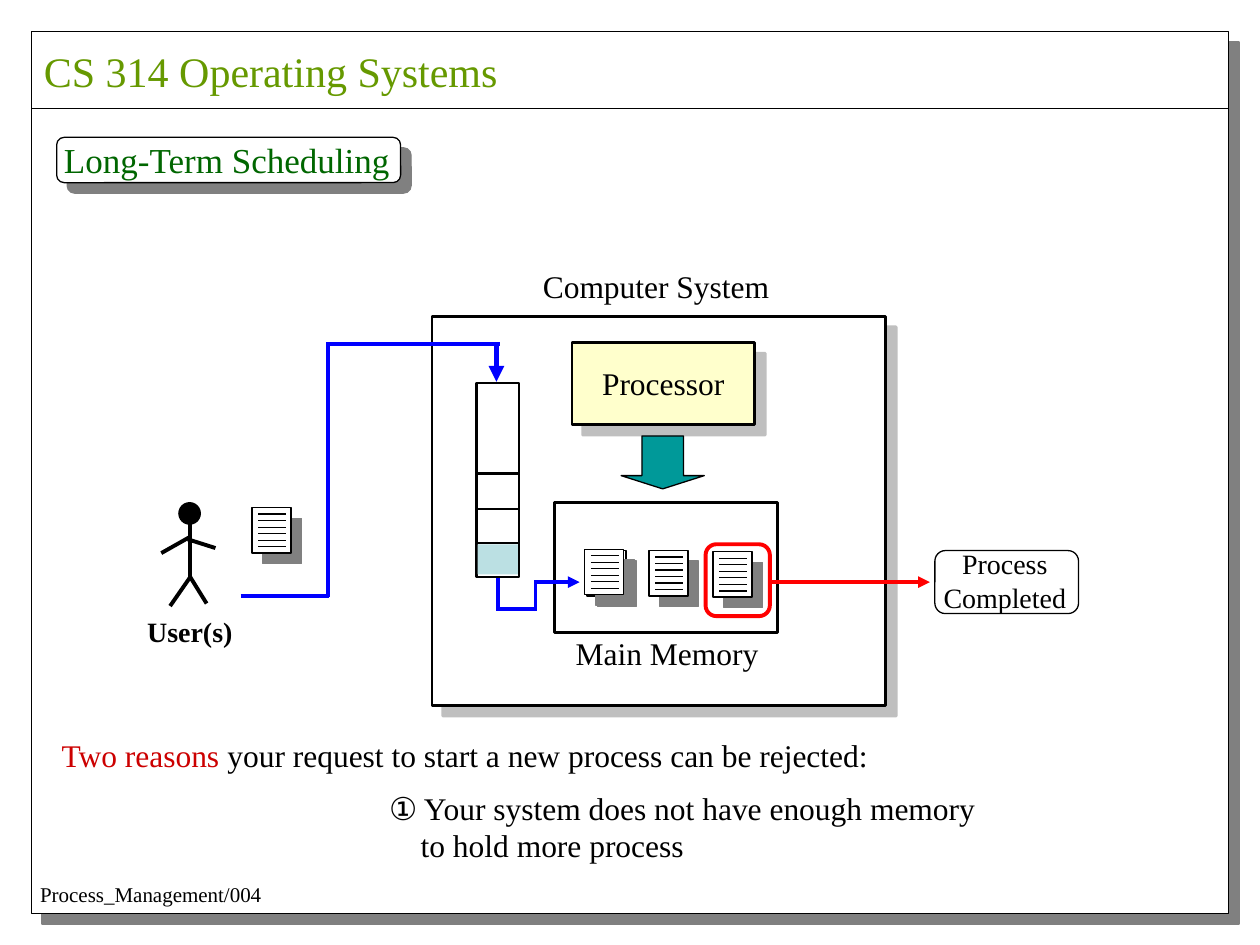
from lxml import etree
from pptx import Presentation
from pptx.dml.color import RGBColor
from pptx.enum.shapes import MSO_CONNECTOR, MSO_SHAPE
from pptx.enum.text import MSO_AUTO_SIZE, PP_ALIGN
from pptx.oxml.ns import qn
from pptx.util import Inches, Pt

RECT = MSO_SHAPE.RECTANGLE
ROUND = MSO_SHAPE.ROUNDED_RECTANGLE
OVAL = MSO_SHAPE.OVAL
DOWN_ARROW = MSO_SHAPE.DOWN_ARROW
STRAIGHT = MSO_CONNECTOR.STRAIGHT
GROW = MSO_AUTO_SIZE.SHAPE_TO_FIT_TEXT
LEFT, CENTER = PP_ALIGN.LEFT, PP_ALIGN.CENTER

SERIF = "Times New Roman"
BLACK, WHITE, GRAY = "000000", "FFFFFF", "808080"
BLUE, RED = "0000FF", "FF0000"


def color(value):
    return RGBColor.from_string(value)


def add_shadow(shape, opacity):
    effects = shape._element.spPr.find(qn("a:effectLst"))
    shadow = etree.SubElement(effects, qn("a:outerShdw"), dist=str(Pt(8.5)),
                              dir="2700000", algn="ctr", rotWithShape="0")
    tone = etree.SubElement(shadow, qn("a:srgbClr"), val=GRAY)
    etree.SubElement(tone, qn("a:alpha"), val=str(opacity * 1000))


def add_box(page, kind, left, top, width, height, fill=WHITE, line=BLACK,
            weight=0.75, shadow=0):
    box = page.shapes.add_shape(kind, Inches(left), Inches(top),
                                Inches(width), Inches(height))
    box.shadow.inherit = False
    if fill:
        box.fill.solid()
        box.fill.fore_color.rgb = color(fill)
    else:
        box.fill.background()
    if line:
        box.line.color.rgb = color(line)
        box.line.width = Pt(weight)
    else:
        box.line.fill.background()
    if shadow:
        add_shadow(box, shadow)
    return box


def add_line(page, start, end, line=BLACK, weight=0.75, arrow=False):
    connector = page.shapes.add_connector(
        STRAIGHT, *(Inches(value) for value in (*start, *end)))
    connector.line.color.rgb = color(line)
    connector.line.width = Pt(weight)
    properties = connector._element.spPr
    if arrow:
        etree.SubElement(properties.find(qn("a:ln")), qn("a:tailEnd"),
                         type="triangle")
    etree.SubElement(properties, qn("a:effectLst"))


def add_text(page, left, top, width, height, size, paragraphs,
             align=LEFT, bold=False):
    box = page.shapes.add_textbox(Inches(left), Inches(top),
                                  Inches(width), Inches(height))
    frame = box.text_frame
    frame.word_wrap = False
    frame.auto_size = GROW
    for index, spans in enumerate(paragraphs):
        para = frame.add_paragraph() if index else frame.paragraphs[0]
        para.alignment = align
        for text, tone, font in spans:
            span = para.add_run()
            span.text = text
            span.font.name = font
            span.font.size = Pt(size)
            span.font.bold = bold
            span.font.color.rgb = color(tone)
    return box


def add_label(page, left, top, width, height, size, text, tone=BLACK,
              bold=False):
    add_text(page, left, top, width, height, size, [[(text, tone, SERIF)]],
             bold=bold)


def add_sheet(page, left, top):
    add_box(page, RECT, left, top, 0.31, 0.36, shadow=100)


def add_document(page, left, top):
    add_sheet(page, left, top)
    for row in range(6):
        y = top + 0.05 + row * 0.26 / 5
        add_line(page, (left + 0.05, y), (left + 0.27, y))


def add_frame(page):
    add_box(page, RECT, 0.25, 0.25, 9.5, 7, shadow=100)
    add_line(page, (0.25, 0.86), (9.75, 0.86))
    add_label(page, 0.22, 6.95, 1.96, 0.3, 12, "Process_Management/004")
    add_label(page, 0.25, 0.31, 3.8, 0.5, 24, "CS 314 Operating Systems",
              "669900")
    add_box(page, ROUND, 0.45, 1.09, 2.73, 0.36, shadow=100)
    add_label(page, 0.41, 1.05, 2.8, 0.44, 20, "Long-Term Scheduling",
              "006600")


def add_computer(page):
    add_box(page, RECT, 3.43, 2.51, 3.6, 3.09, weight=1.5, shadow=50)
    add_label(page, 4.21, 2.07, 2, 0.4, 18, "Computer System")
    add_box(page, RECT, 4.54, 2.72, 1.45, 0.65, "FFFFCC", weight=1.5,
            shadow=50)
    add_label(page, 4.68, 2.84, 1.17, 0.4, 18, "Processor")
    arrow = add_box(page, DOWN_ARROW, 4.93, 3.46, 0.66, 0.42, "009999")
    arrow.adjustments[1] = 0.25
    add_box(page, RECT, 4.4, 3.99, 1.77, 1.03, weight=1.5)
    add_label(page, 4.47, 4.98, 1.65, 0.4, 18, "Main Memory")


def add_user(page):
    add_box(page, OVAL, 1.42, 3.99, 0.17, 0.17, BLACK)
    hip = (1.51, 4.58)
    limbs = [((1.51, 4.07), hip), (hip, (1.35, 4.81)), (hip, (1.64, 4.79)),
             ((1.51, 4.26), (1.28, 4.39)), ((1.49, 4.28), (1.71, 4.35))]
    for start, end in limbs:
        add_line(page, start, end, weight=2.25)
    add_label(page, 1.07, 4.83, 0.9, 0.37, 16, "User(s)", bold=True)


def add_queue(page):
    add_box(page, RECT, 3.78, 3.04, 0.34, 1.54, weight=1.5)
    for y in (3.76, 4.04, 4.31):
        add_line(page, (3.78, y), (4.12, y), weight=1.5)
    add_box(page, RECT, 3.79, 4.32, 0.32, 0.24, "BBE0E3", None)


def add_request_route(page):
    add_line(page, (1.91, 4.73), (2.61, 4.73), BLUE, 2.25)
    add_line(page, (2.6, 4.74), (2.6, 2.72), BLUE, 2.25)
    add_line(page, (2.59, 2.73), (3.97, 2.73), BLUE, 2.25)
    add_line(page, (3.94, 2.73), (3.94, 3.03), BLUE, 3, arrow=True)


def add_admission_route(page):
    add_line(page, (3.95, 4.59), (3.95, 4.84), BLUE, 2.25)
    add_line(page, (3.94, 4.83), (4.26, 4.83), BLUE, 2.25)
    add_line(page, (4.25, 4.85), (4.25, 4.6), BLUE, 2.25)
    add_line(page, (4.24, 4.62), (4.6, 4.62), BLUE, 2.25, arrow=True)


def add_completion(page):
    add_box(page, ROUND, 5.6, 4.32, 0.51, 0.57, None, RED, 2.25)
    add_line(page, (6.11, 4.62), (7.38, 4.62), RED, 2.25, arrow=True)
    add_box(page, ROUND, 7.42, 4.37, 1.14, 0.5)
    add_text(page, 7.39, 4.29, 1.17, 0.64, 16,
             [[("Process", BLACK, SERIF)], [("Completed", BLACK, SERIF)]],
             align=CENTER)


def add_reasons(page):
    add_text(page, 0.39, 5.79, 6.62, 0.4, 18, [[
        ("Two reasons ", "CC0000", SERIF),
        ("your request to start a new process can be rejected:",
         BLACK, SERIF)]])
    box = add_text(page, 2.99, 6.21, 4.89, 0.7, 18, [
        [("①", BLACK, "Arial"),
         (" Your system does not have enough memory", BLACK, SERIF)],
        [("to hold more process", BLACK, SERIF)]])
    second = box.text_frame.paragraphs[1]
    second._p.get_or_add_pPr().set("marL", str(Inches(0.25)))


def main():
    deck = Presentation()
    deck.slide_width, deck.slide_height = Inches(10), Inches(7.5)
    page = deck.slides.add_slide(deck.slide_layouts[6])
    add_frame(page)
    add_computer(page)
    add_user(page)
    add_sheet(page, 4.66, 4.37)
    for left, top in ((2, 4.03), (5.15, 4.37), (5.66, 4.38), (4.64, 4.36)):
        add_document(page, left, top)
    add_request_route(page)
    add_queue(page)
    add_completion(page)
    add_admission_route(page)
    add_reasons(page)
    deck.save("out.pptx")


if __name__ == "__main__":
    main()
